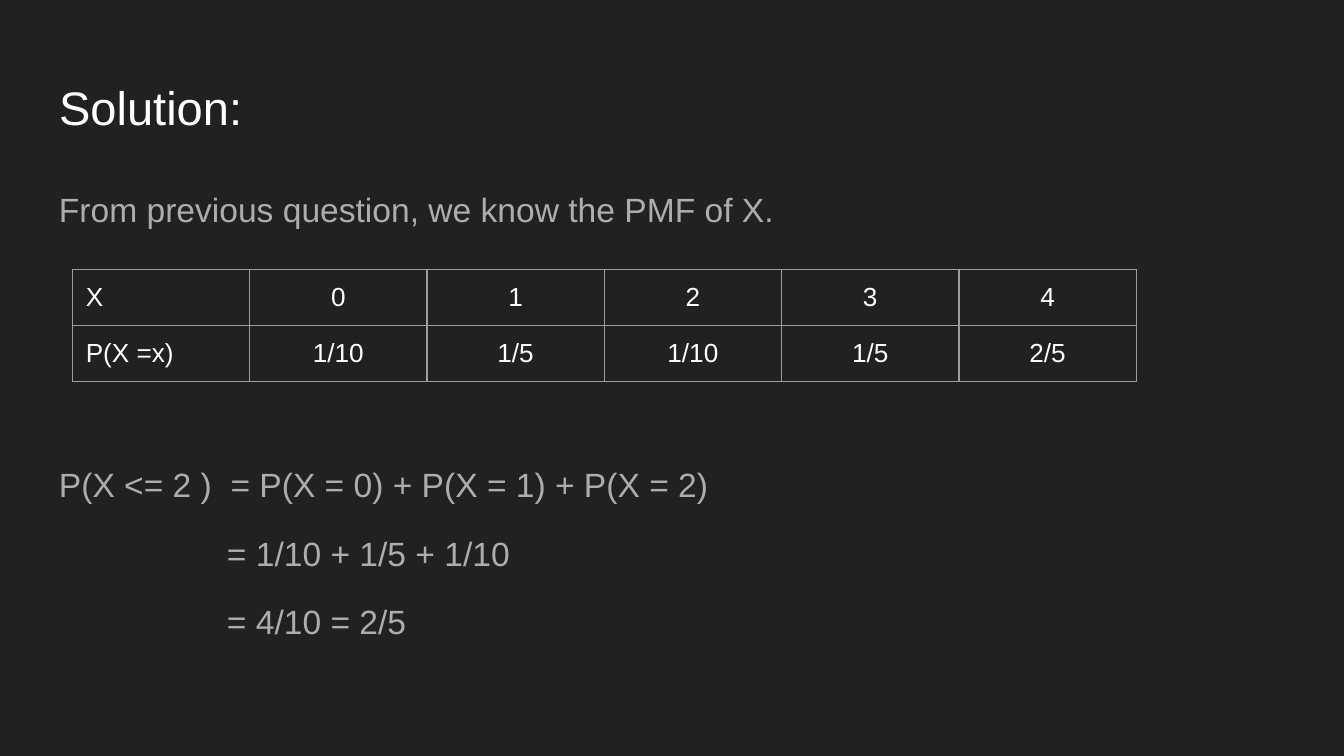
from lxml.etree import SubElement
from pptx import Presentation
from pptx.dml.color import RGBColor
from pptx.enum.text import MSO_ANCHOR, MSO_AUTO_SIZE, PP_ALIGN
from pptx.oxml.ns import qn
from pptx.util import Pt

FONT = "Arial"
BACK, WHITE, GREY, EDGE = "212121", "FFFFFF", "ADADAD", "9E9E9E"
LEFT, WIDE, INSET = 24.5, 671, 7.2
HEAD = ["X", "0", "1", "2", "3", "4"]
ODDS = ["P(X =x)", "1/10", "1/5", "1/10", "1/5", "2/5"]
# Text, space before, left indent; the large space makes room for the table.
LINES = [
    ("From previous question, we know the PMF of X.", 0, 0),
    ("P(X <= 2 )  = P(X = 0) + P(X = 1) + P(X = 2)", 122.5, 0),
    ("= 1/10 + 1/5 + 1/10", 12, 90),
    ("= 4/10 = 2/5", 12, 90),
]


def paint(fill, color):
    fill.solid()
    fill.fore_color.rgb = RGBColor.from_string(color)


def style(para, size, color):
    for run in para.runs:
        run.font.name = FONT
        run.font.size = Pt(size)
        run.font.bold = False
        run.font.color.rgb = RGBColor.from_string(color)


def pad(item):
    """Set equal insets on a text frame or a table cell."""
    item.margin_left = item.margin_right = Pt(INSET)
    item.margin_top = item.margin_bottom = Pt(INSET)


def setup(frame):
    pad(frame)
    frame.word_wrap = True
    frame.auto_size = MSO_AUTO_SIZE.NONE
    frame.vertical_anchor = MSO_ANCHOR.TOP


def add_title(slide, text):
    title = slide.shapes.title
    title.left, title.top = Pt(LEFT), Pt(35)
    title.width, title.height = Pt(WIDE), Pt(45)
    frame = title.text_frame
    setup(frame)
    frame.text = text
    para = frame.paragraphs[0]
    para.alignment = PP_ALIGN.LEFT
    para.line_spacing = 1.0
    para.space_before = Pt(0)
    style(para, 25.2, WHITE)


def add_body(slide, lines):
    box = slide.shapes.add_textbox(Pt(LEFT), Pt(90.75), Pt(WIDE), Pt(269))
    frame = box.text_frame
    setup(frame)
    for i, (text, gap, indent) in enumerate(lines):
        para = frame.add_paragraph() if i else frame.paragraphs[0]
        para.text = text
        para.line_spacing = 1.15
        para.space_before = Pt(gap)
        para._p.get_or_add_pPr().set("marL", str(Pt(indent)))
        style(para, 18, GREY)


def edge(cell):
    """Draw all four borders; they must precede the fill in tcPr."""
    props = cell._tc.get_or_add_tcPr()
    for tag in ("a:lnL", "a:lnR", "a:lnT", "a:lnB"):
        line = SubElement(props, qn(tag), w=str(Pt(0.75)))
        fill = SubElement(line, qn("a:solidFill"))
        SubElement(fill, qn("a:srgbClr"), val=EDGE)


def add_grid(slide, rows):
    wide, high = 95, 30
    count = len(rows[0])
    grid = slide.shapes.add_table(
        len(rows), count, Pt(38.75), Pt(144.25),
        Pt(wide * count), Pt(high * len(rows))).table
    grid.first_row = grid.horz_banding = False
    for r, row in enumerate(rows):
        for c, text in enumerate(row):
            cell = grid.cell(r, c)
            pad(cell)
            edge(cell)
            cell.fill.background()
            cell.text_frame.text = text
            para = cell.text_frame.paragraphs[0]
            para.alignment = PP_ALIGN.CENTER if c else PP_ALIGN.LEFT
            style(para, 14, WHITE)


def main():
    deck = Presentation()
    deck.slide_width, deck.slide_height = Pt(720), Pt(405)
    slide = deck.slides.add_slide(deck.slide_layouts[5])
    paint(slide.background.fill, BACK)
    add_title(slide, "Solution:")
    add_body(slide, LINES)
    add_grid(slide, [HEAD, ODDS])
    deck.save("out.pptx")


if __name__ == "__main__":
    main()
